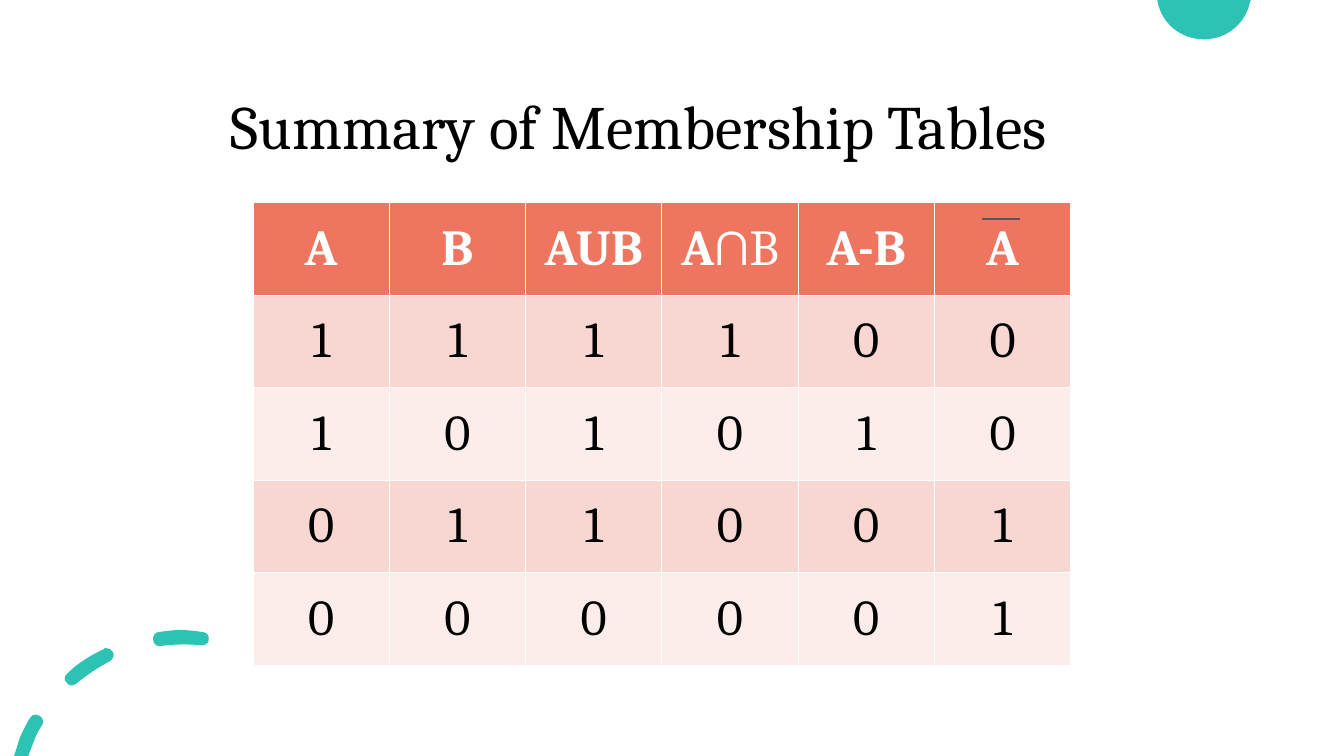
from itertools import product

from lxml import etree
from pptx import Presentation
from pptx.dml.color import RGBColor
from pptx.enum import shapes, text
from pptx.oxml import ns
from pptx.util import Inches, Pt

TEAL = RGBColor(0x2C, 0xC3, 0xB4)
CORAL = RGBColor(0xEE, 0x76, 0x61)
PINK = RGBColor(0xF8, 0xD6, 0xD2)
PALE_PINK = RGBColor(0xFC, 0xEC, 0xEA)
WHITE = RGBColor(0xFF, 0xFF, 0xFF)
BLACK = RGBColor(0, 0, 0)
PLUM = RGBColor(0x5B, 0x52, 0x60)
FONT = "Cambria"

# Outlines in inches: a start point, then lines (2 numbers) and curves (6 numbers)
HALF_DISC = [
    [(11.48, 0), (12.41, 0), (12.4, 0.01), (12.36, 0.23, 12.17, 0.39, 11.94, 0.39),
     (11.71, 0.39, 11.52, 0.23, 11.48, 0.01)],
]
ARC_DASHES = [
    [(0.36, 7.09), (0.34, 7.08, 0.31, 7.1, 0.3, 7.12), (0.26, 7.18, 0.23, 7.25, 0.2, 7.31),
     (0.14, 7.5), (0.28, 7.5), (0.33, 7.37), (0.35, 7.31, 0.38, 7.25, 0.42, 7.19),
     (0.44, 7.16, 0.42, 7.11, 0.39, 7.1), (0.38, 7.09, 0.37, 7.09, 0.36, 7.09)],
    [(1.05, 6.43), (1.04, 6.43, 1.03, 6.43, 1.03, 6.44), (0.9, 6.5, 0.77, 6.58, 0.67, 6.68),
     (0.64, 6.7, 0.63, 6.75, 0.66, 6.77), (0.67, 6.79, 0.69, 6.8, 0.71, 6.8),
     (0.73, 6.8, 0.74, 6.79, 0.76, 6.78), (0.86, 6.7, 0.97, 6.62, 1.09, 6.56),
     (1.12, 6.54, 1.14, 6.5, 1.12, 6.47), (1.11, 6.44, 1.08, 6.43, 1.05, 6.43)],
    [(1.79, 6.25), (1.72, 6.25, 1.65, 6.26, 1.58, 6.27), (1.54, 6.27, 1.51, 6.31, 1.52, 6.35),
     (1.52, 6.38, 1.55, 6.41, 1.58, 6.41), (1.73, 6.39, 1.86, 6.39, 1.99, 6.4),
     (2.03, 6.41, 2.07, 6.38, 2.07, 6.35), (2.08, 6.31, 2.05, 6.27, 2.01, 6.27),
     (1.94, 6.26, 1.86, 6.25, 1.79, 6.25)],
]

# Each header is a bold part and, where needed, a regular part
HEADERS = [["A"], ["B"], ["AUB"], ["A", "∩B"], ["A-B"], ["A"]]


def bend_segments(shape, segments):
    """Turn the straight segments that have control points into cubic curves."""
    lines = list(shape._element.iter(ns.qn("a:lnTo")))
    for line, segment in zip(lines, segments):
        if len(segment) == 2:
            continue
        curve = etree.Element(ns.qn("a:cubicBezTo"))
        for x, y in zip(segment[::2], segment[1::2]):
            etree.SubElement(curve, ns.qn("a:pt"), x=str(Inches(x) - shape.left),
                             y=str(Inches(y) - shape.top))
        line.getparent().replace(line, curve)


def add_outline(slide, contours):
    builder = None
    for contour in contours:
        start, *ends = [(Inches(segment[-2]), Inches(segment[-1])) for segment in contour]
        if builder is None:
            builder = slide.shapes.build_freeform(*start)
        else:
            builder.move_to(*start)
        builder.add_line_segments(ends, close=True)
    shape = builder.convert_to_shape()
    bend_segments(shape, [segment for contour in contours for segment in contour[1:]])
    shape.shadow.inherit = False
    shape.fill.solid()
    shape.fill.fore_color.rgb = TEAL
    shape.line.fill.background()


def set_font(font, size, color, bold=False):
    font.name = FONT
    font.size = Pt(size)
    font.color.rgb = color
    font.bold = bold


def add_title(slide, wording):
    box = slide.shapes.add_textbox(Inches(2.19), Inches(0.56), Inches(8.95), Inches(1.45))
    frame = box.text_frame
    frame.word_wrap = True
    frame.vertical_anchor = text.MSO_ANCHOR.MIDDLE
    paragraph = frame.paragraphs[0]
    paragraph.text = wording
    paragraph.line_spacing = 0.9
    set_font(paragraph.font, 44, BLACK)


def fill_cell(cell, parts, fill_color, font_color, is_header=False):
    cell.fill.solid()
    cell.fill.fore_color.rgb = fill_color
    cell.vertical_anchor = text.MSO_ANCHOR.MIDDLE
    paragraph = cell.text_frame.paragraphs[0]
    paragraph.alignment = text.PP_ALIGN.CENTER
    for index, part in enumerate(parts):
        run = paragraph.add_run()
        run.text = part
        set_font(run.font, 36, font_color, bold=is_header and index == 0)


def add_membership_table(slide):
    members = [(a, b, a | b, a & b, a & (1 - b), 1 - a)
               for a, b in product((1, 0), repeat=2)]
    # The default table style draws the white rules between cells
    table = slide.shapes.add_table(
        len(members) + 1, len(HEADERS),
        Inches(2.51), Inches(2.01), Inches(8.11), Inches(4.59)).table
    for column, parts in enumerate(HEADERS):
        fill_cell(table.cell(0, column), parts, CORAL, WHITE, is_header=True)
    for row, values in enumerate(members, start=1):
        for column, value in enumerate(values):
            fill_cell(table.cell(row, column), [str(value)],
                      PINK if row % 2 else PALE_PINK, BLACK)


def add_overbar(slide):
    bar = slide.shapes.add_connector(
        shapes.MSO_CONNECTOR.STRAIGHT,
        Inches(9.74), Inches(2.17), Inches(10.12), Inches(2.17))
    bar.line.color.rgb = PLUM
    bar.line.width = Pt(1.5)
    etree.SubElement(bar._element.spPr, ns.qn("a:effectLst"))


def main():
    presentation = Presentation()
    presentation.slide_width = Inches(13.33)
    presentation.slide_height = Inches(7.5)
    slide = presentation.slides.add_slide(presentation.slide_layouts[6])

    # Corner decorations
    add_outline(slide, HALF_DISC)
    add_outline(slide, ARC_DASHES)

    # Title, table and the complement bar over the last header
    add_title(slide, "Summary of Membership Tables")
    add_membership_table(slide)
    add_overbar(slide)

    presentation.save("out.pptx")


if __name__ == "__main__":
    main()
